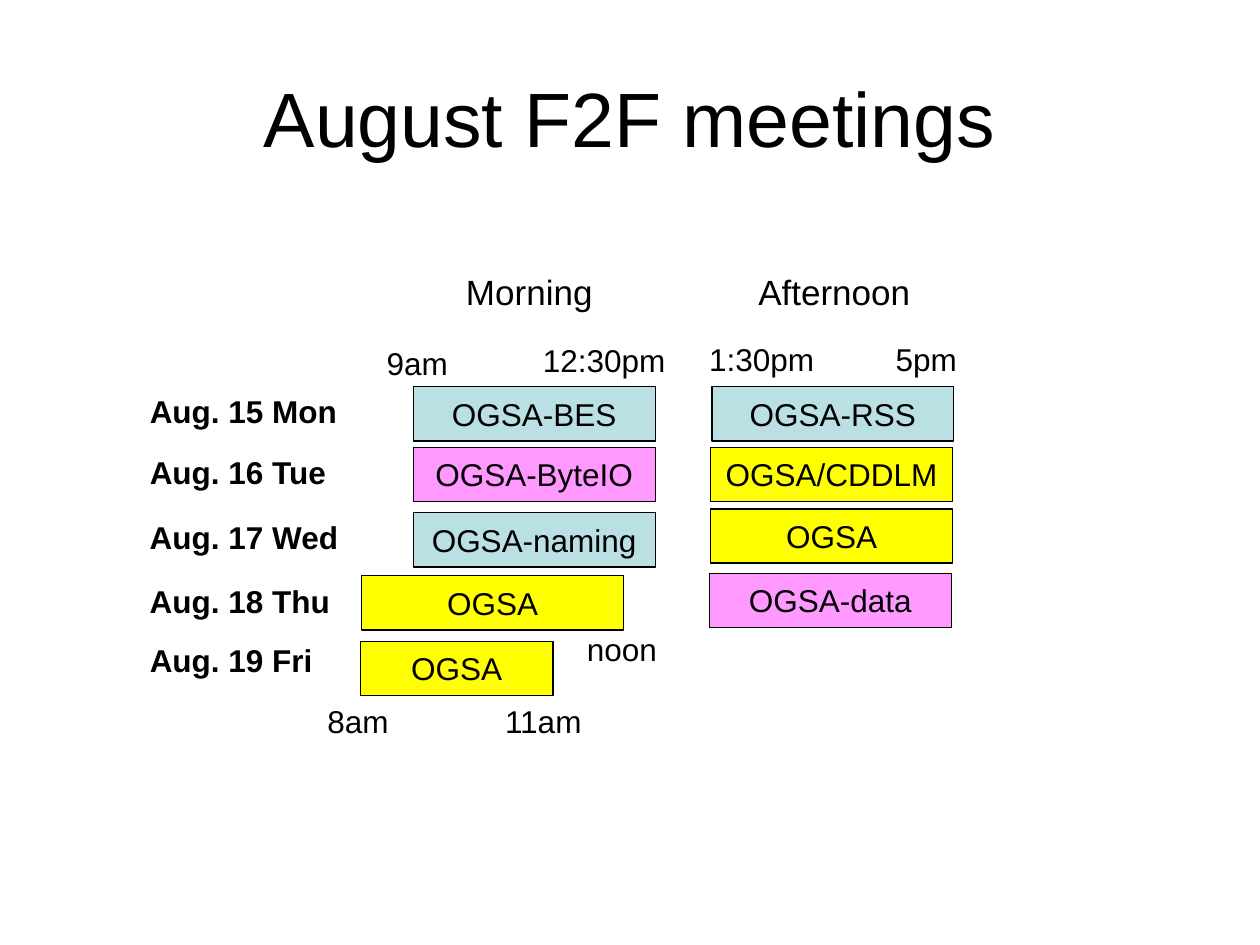
from pptx import Presentation
from pptx.dml.color import RGBColor
from pptx.enum.shapes import MSO_SHAPE
from pptx.enum.text import MSO_ANCHOR, MSO_AUTO_SIZE, PP_ALIGN
from pptx.util import Inches, Pt

COLORS = {"text": "000000", "line": "000000", "teal": "BBE0E3",
          "yellow": "FFFF00", "pink": "FF99FF"}
FONT = "Arial"
SESSION_W, SESSION_H = 1.92, 0.43


def rgb(name):
    return RGBColor.from_string(COLORS[name])


def add_text(tf, text, size, align=PP_ALIGN.LEFT, bold=False):
    p = tf.paragraphs[0]
    p.alignment = align
    r = p.add_run()
    r.text = text
    r.font.name, r.font.size, r.font.bold = FONT, Pt(size), bold
    r.font.color.rgb = rgb("text")


def add_label(s, left, top, width, text, size=18, bold=False):
    height = 0.44 if size == 20 else 0.4
    sp = s.shapes.add_textbox(Inches(left), Inches(top), Inches(width), Inches(height))
    tf = sp.text_frame
    tf.word_wrap = False
    tf.auto_size = MSO_AUTO_SIZE.SHAPE_TO_FIT_TEXT
    tf.margin_right = Inches(0.05)  # slack that keeps the label on one line
    add_text(tf, text, size, bold=bold)


def add_session(s, left, top, width, text, color):
    sp = s.shapes.add_shape(MSO_SHAPE.RECTANGLE, Inches(left), Inches(top),
                            Inches(width), Inches(SESSION_H))
    sp.shadow.inherit = False
    sp.fill.solid()
    sp.fill.fore_color.rgb = rgb(color)
    sp.line.color.rgb = rgb("line")
    sp.line.width = Pt(0.75)
    tf = sp.text_frame
    tf.word_wrap = False
    tf.vertical_anchor = MSO_ANCHOR.MIDDLE
    add_text(tf, text, 18, PP_ALIGN.CENTER)


def add_title(s, left, top, width, height, text):
    sp = s.shapes.title
    sp.left, sp.top = Inches(left), Inches(top)
    sp.width, sp.height = Inches(width), Inches(height)
    sp.text_frame.vertical_anchor = MSO_ANCHOR.MIDDLE
    add_text(sp.text_frame, text, 44, PP_ALIGN.CENTER)


def add_days(s, left, top, days):
    for dy, width, day in days:
        add_label(s, left, top + dy, width, day, bold=True)


def add_half_day(s, left, top, heading, times, sessions):
    """Heading, time marks and sessions, offset from the column's corner."""
    dx, width, text = heading
    add_label(s, left + dx, top, width, text, size=20)
    for dx, dy, width, text in times:
        add_label(s, left + dx, top + dy, width, text)
    for dx, dy, width, text, color in sessions:
        add_session(s, left + dx, top + dy, width, text, color)


def main():
    prs = Presentation()
    prs.slide_width, prs.slide_height = Inches(10), Inches(7.5)
    s = prs.slides.add_slide(prs.slide_layouts[5])

    add_title(s, 0.5, 0.3, 9, 1.25, "August F2F meetings")

    # Day names
    add_days(s, 1.09, 3.06, [
        (0, 1.68, "Aug. 15 Mon"),
        (0.49, 1.61, "Aug. 16 Tue"),
        (1, 1.7, "Aug. 17 Wed"),
        (1.51, 1.63, "Aug. 18 Thu"),
        (1.98, 1.49, "Aug. 19 Fri"),
    ])

    # Morning: the last two days start and end earlier
    add_half_day(s, 3.28, 2.1, (0.32, 1.2, "Morning"), [
        (-0.31, 0.58, 0.68, "9am"),
        (0.93, 0.56, 1.17, "12:30pm"),
        (1.28, 2.85, 0.75, "noon"),
        (-0.78, 3.42, 0.68, "8am"),
        (0.63, 3.42, 0.82, "11am"),
    ], [
        (0, 0.97, SESSION_W, "OGSA-BES", "teal"),
        (0, 1.45, SESSION_W, "OGSA-ByteIO", "pink"),
        (0, 1.97, SESSION_W, "OGSA-naming", "teal"),
        (-0.41, 2.47, 2.08, "OGSA", "yellow"),
        (-0.42, 2.99, 1.53, "OGSA", "yellow"),
    ])

    # Afternoon
    add_half_day(s, 5.64, 2.1, (0.28, 1.4, "Afternoon"), [
        (-0.11, 0.55, 1.03, "1:30pm"),
        (1.37, 0.55, 0.68, "5pm"),
    ], [
        (0.01, 0.97, SESSION_W, "OGSA-RSS", "teal"),
        (0, 1.45, SESSION_W, "OGSA/CDDLM", "yellow"),
        (0, 1.94, SESSION_W, "OGSA", "yellow"),
        (-0.01, 2.45, SESSION_W, "OGSA-data", "pink"),
    ])

    prs.save("out.pptx")


if __name__ == "__main__":
    main()
